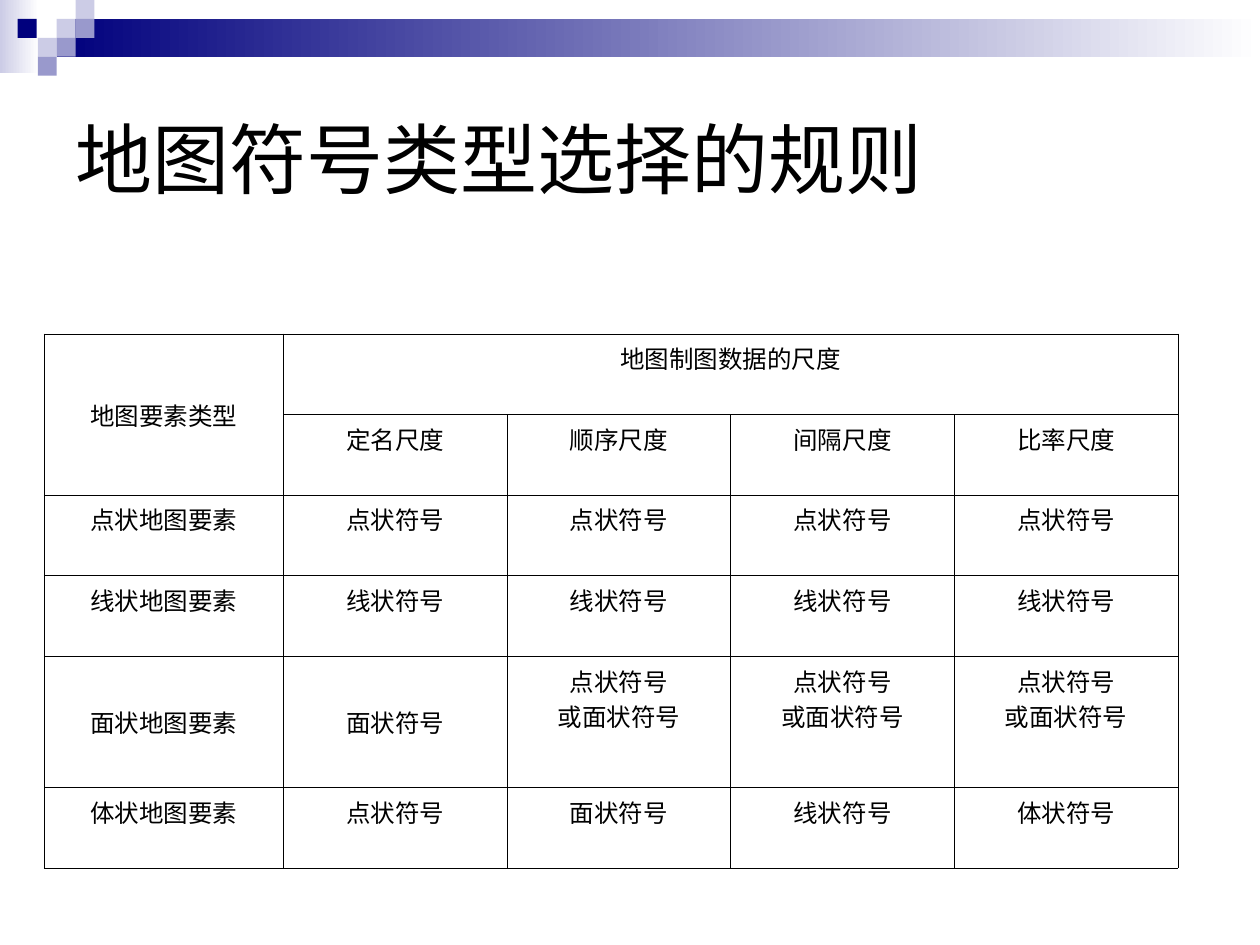
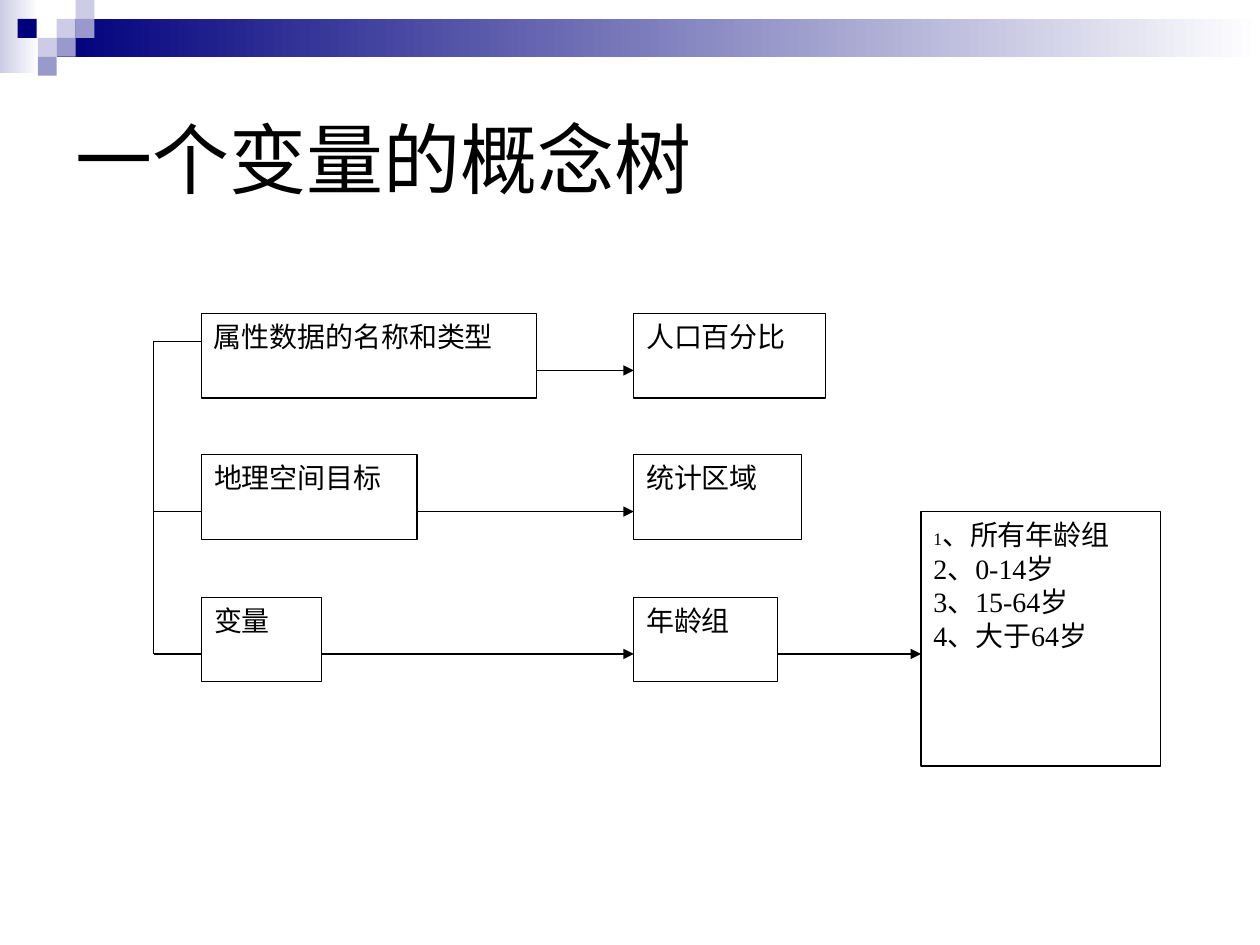
from lxml import etree
from pptx import Presentation
from pptx import util as u
from pptx.dml.color import RGBColor
from pptx.enum import shapes, text
from pptx.oxml.ns import qn

BLACK, WHITE = "000000", "FFFFFF"
NAVY, LILAC, PALE = "00007D", "9999CC", "CCCCE6"
RECT = shapes.MSO_SHAPE.RECTANGLE
TOP, MIDDLE = text.MSO_ANCHOR.TOP, text.MSO_ANCHOR.MIDDLE
LEFT, CENTER, JUSTIFY = text.PP_ALIGN.LEFT, text.PP_ALIGN.CENTER, text.PP_ALIGN.JUSTIFY


def rgb(value):
    return RGBColor.from_string(value)


def write(tf, content, size=16, font="Times New Roman", color=BLACK, align=LEFT, small=""):
    for i, line in enumerate(content.split("\n")):
        p = tf.paragraphs[0] if i == 0 else tf.add_paragraph()
        p.alignment = align
        head = small if i == 0 else ""
        for part, points in ((head, 10), (line, size)):
            if part:
                r = p.add_run()
                r.text = part
                r.font.size = u.Pt(points)
                r.font.name = font
                r.font.color.rgb = rgb(color)


prs = Presentation()
prs.slide_width, prs.slide_height = u.Inches(10), u.Inches(7.5)
layout = prs.slide_layouts[5]

slides = []
for title in ("地图符号类型选择的规则", "一个变量的概念树"):
    s = prs.slides.add_slide(layout)
    sp = s.shapes.title
    sp.left, sp.top, sp.width, sp.height = map(u.Inches, (0.5, 0.5, 9, 1.5))
    tf = sp.text_frame
    tf.auto_size = text.MSO_AUTO_SIZE.NONE
    tf.vertical_anchor = MIDDLE
    write(tf, title, size=44, font="Arial")
    slides.append(s)
table_slide, tree_slide = slides

band = table_slide.shapes.add_group_shape()
for x, y, w, h, color, fades in (
    (0, 0, 0.31, 0.58, PALE, True),
    (0.45, 0.15, 9.55, 0.3, NAVY, True),
    (0.45, 0.15, 0.15, 0.15, PALE, False),
    (0.6, 0, 0.15, 0.15, PALE, False),
    (0.6, 0.15, 0.15, 0.15, LILAC, False),
    (0.3, 0.3, 0.15, 0.15, PALE, False),
    (0.14, 0.15, 0.15, 0.15, NAVY, False),
    (0.45, 0.3, 0.15, 0.15, LILAC, False),
    (0.3, 0.45, 0.15, 0.15, LILAC, False),
):
    sp = band.shapes.add_shape(RECT, *map(u.Inches, (x, y, w, h)))
    sp.shadow.inherit = False
    sp.line.fill.background()
    if fades:
        sp.fill.gradient()
        sp.fill.gradient_angle = 0
        for stop, shade in zip(sp.fill.gradient_stops, (color, WHITE)):
            stop.color.rgb = rgb(shade)
    else:
        sp.fill.solid()
        sp.fill.fore_color.rgb = rgb(color)
prs.slide_master.shapes._spTree.insert(2, band._element)

point, line, area, solid = "点状符号", "线状符号", "面状符号", "体状符号"
either = "点状符号\n或面状符号"
rows = [
    ["地图要素类型", "地图制图数据的尺度", "", "", ""],
    ["", "定名尺度", "顺序尺度", "间隔尺度", "比率尺度"],
    ["点状地图要素"] + [point] * 4,
    ["线状地图要素"] + [line] * 4,
    ["面状地图要素", area] + [either] * 3,
    ["体状地图要素", point, area, line, solid],
]
middle_cells = {(0, 0), (4, 0), (4, 1)}

frame = table_slide.shapes.add_table(6, 5, *map(u.Inches, (0.35, 2.65, 9, 4.25)))
table = frame.table
table.first_row = table.horz_banding = False
for i, column in enumerate(table.columns):
    column.width = u.Inches(1.9 if i == 0 else (9 - 1.9) / 4)
for i, row in enumerate(table.rows):
    row.height = u.Inches(1.04 if i == 4 else 0.64)
table.cell(0, 0).merge(table.cell(1, 0))
table.cell(0, 1).merge(table.cell(0, 4))
for i, row in enumerate(rows):
    for j, content in enumerate(row):
        cell = table.cell(i, j)
        tcPr = cell._tc.get_or_add_tcPr()
        for side in ("lnL", "lnR", "lnT", "lnB"):
            ln = etree.SubElement(tcPr, qn("a:" + side), w=str(u.Pt(0.45)))
            fill = etree.SubElement(ln, qn("a:solidFill"))
            etree.SubElement(fill, qn("a:srgbClr"), val=BLACK)
        cell.fill.background()
        cell.vertical_anchor = MIDDLE if (i, j) in middle_cells else TOP
        if content:
            write(cell.text_frame, content, size=14, align=CENTER)

tree = tree_slide.shapes.add_group_shape()
ages = "、所有年龄组\n2、0-14岁\n3、15-64岁\n4、大于64岁"
for x, y, w, h, content, small in (
    (1.6, 2.49, 2.66, 0.67, "属性数据的名称和类型", ""),
    (5.03, 2.49, 1.52, 0.67, "人口百分比", ""),
    (1.6, 3.61, 1.71, 0.67, "地理空间目标", ""),
    (1.6, 4.74, 0.95, 0.67, "变量", ""),
    (5.03, 3.61, 1.33, 0.67, "统计区域", ""),
    (5.03, 4.74, 1.14, 0.67, "年龄组", ""),
    (7.31, 4.06, 1.9, 2.02, ages, "1"),
):
    sp = tree.shapes.add_shape(RECT, *map(u.Inches, (x, y, w, h)))
    sp.shadow.inherit = False
    sp.fill.solid()
    sp.fill.fore_color.rgb = rgb(WHITE)
    sp.line.color.rgb = rgb(BLACK)
    sp.line.width = u.Pt(0.75)
    tf = sp.text_frame
    tf.word_wrap = True
    tf.vertical_anchor = TOP
    write(tf, content, align=JUSTIFY, small=small)

for x1, y1, x2, y2, arrow in (
    (4.26, 2.94, 5.03, 2.94, True),
    (3.31, 4.06, 5.03, 4.06, True),
    (2.55, 5.19, 5.03, 5.19, True),
    (6.17, 5.19, 7.31, 5.19, True),
    (1.22, 2.71, 1.22, 5.19, False),
    (1.22, 2.71, 1.6, 2.71, False),
    (1.22, 4.06, 1.6, 4.06, False),
    (1.22, 5.19, 1.6, 5.19, False),
):
    c = tree.shapes.add_connector(shapes.MSO_CONNECTOR.STRAIGHT, *map(u.Inches, (x1, y1, x2, y2)))
    c.line.color.rgb = rgb(BLACK)
    c.line.width = u.Pt(0.75)
    if arrow:
        etree.SubElement(c.line._get_or_add_ln(), qn("a:tailEnd"), type="triangle")
    etree.SubElement(c._element.spPr, qn("a:effectLst"))

prs.save("out.pptx")
